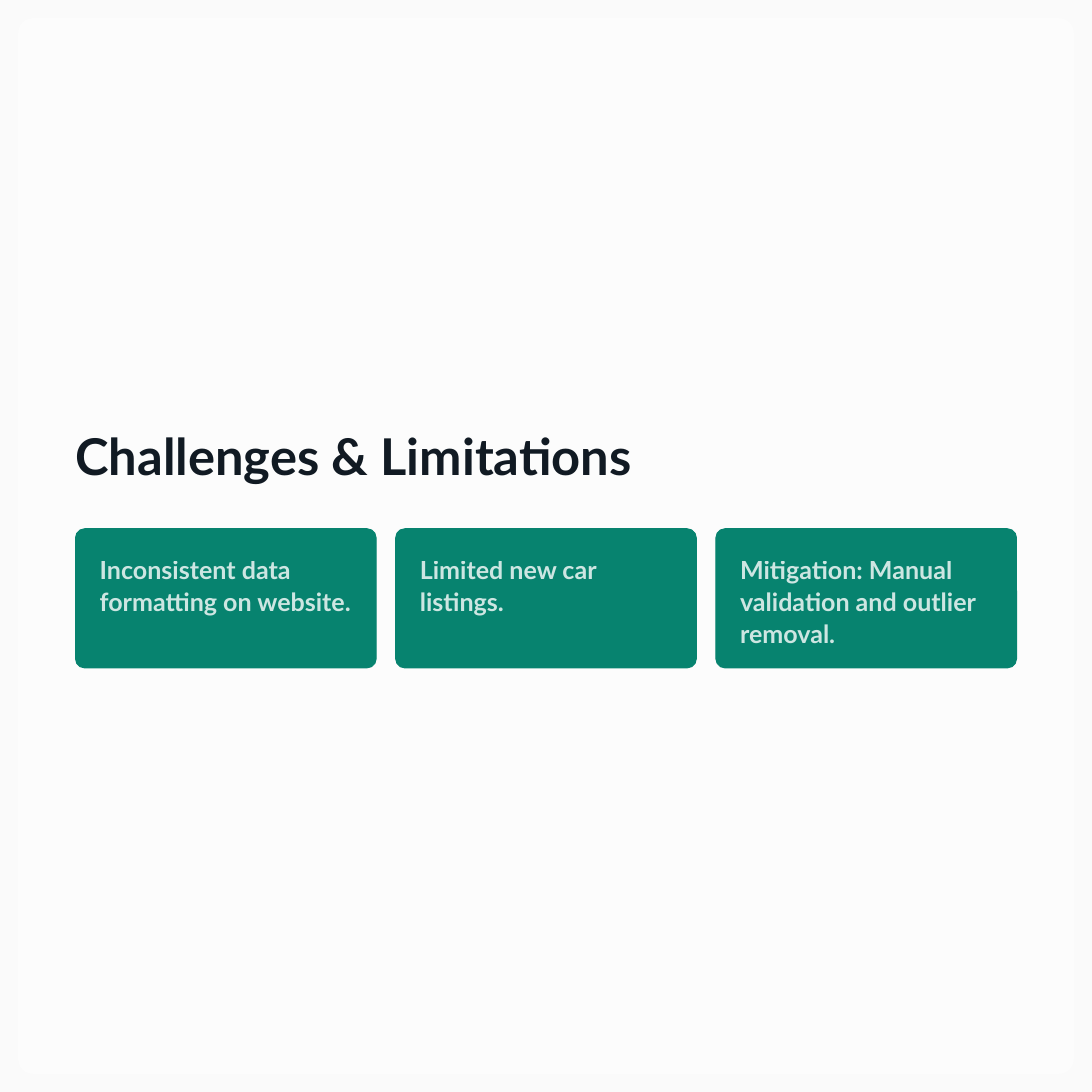
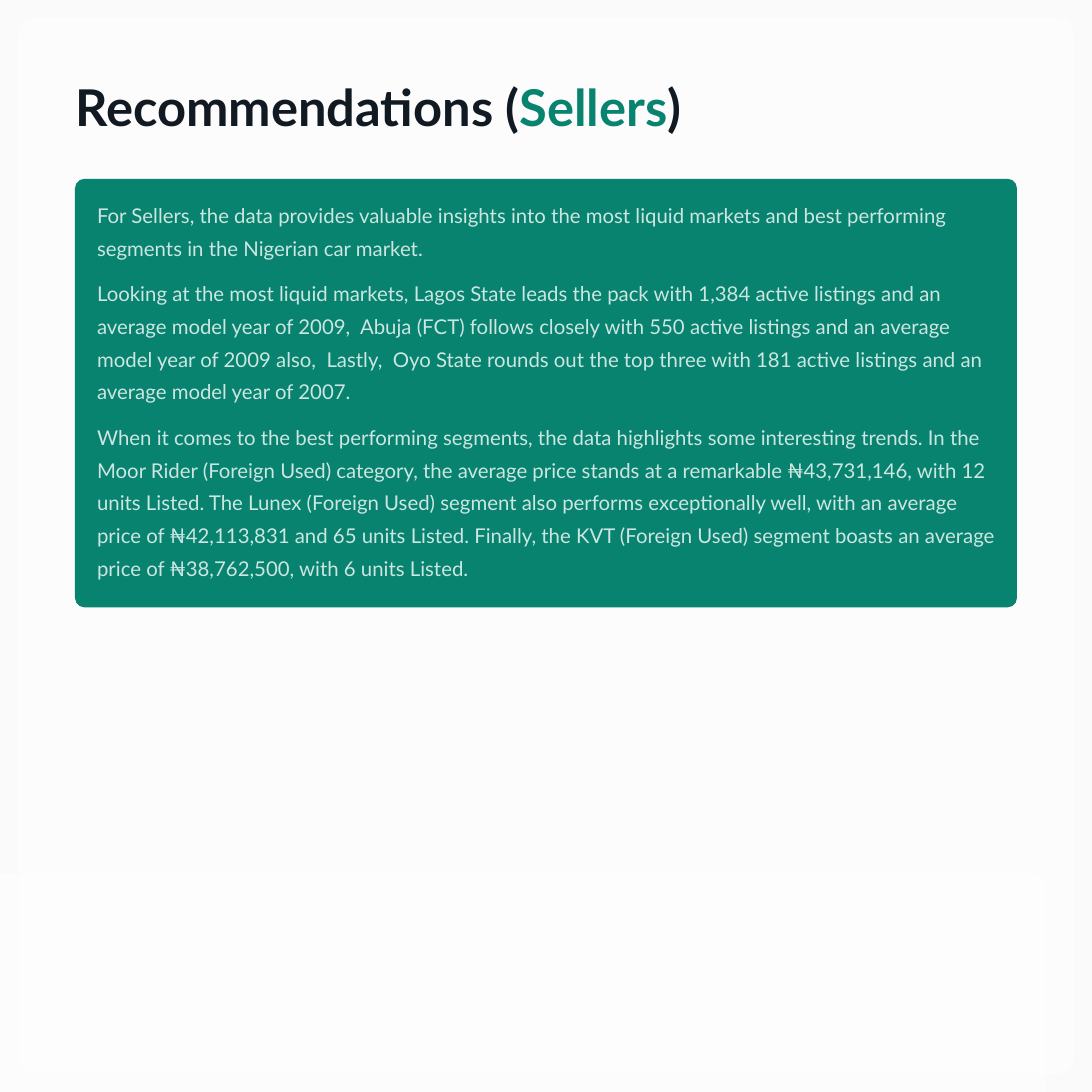
from dataclasses import dataclass

from pptx import Presentation
from pptx.dml.color import RGBColor
from pptx.enum.shapes import MSO_SHAPE as Shape
from pptx.enum.text import MSO_ANCHOR as Anchor, MSO_AUTO_SIZE as AutoSize, PP_ALIGN as Align
from pptx.oxml.ns import qn
from pptx.util import Pt


@dataclass(frozen=True)
class TextStyle:
    size: float
    leading: float
    color: str
    bold: bool = False
    opacity: int = 100
    gap: float = 0


@dataclass(frozen=True)
class Theme:
    font: str = "Lato"
    page: str = "FAFAFA"
    panel: str = "FFFFFF"
    panel_opacity: int = 56
    accent: str = "07836F"
    title: TextStyle = TextStyle(37.6, 47.1, "111A23", bold=True)
    card: TextStyle = TextStyle(18.6, 23.6, "FFFFFF", bold=True, opacity=80)
    body: TextStyle = TextStyle(15.1, 24.2, "FFFFFF", opacity=80, gap=9.7)


THEME = Theme()

# Page grid, in points
PAGE = 810
MARGIN = 56
CONTENT_WIDTH = PAGE - 2 * MARGIN
PANEL_INSET = 13.5
PANEL_RADIUS = 11
CARD_RADIUS = 6.75
CARD_PADDING = 16
CARD_GAP = 14.5

CHALLENGES = [
    "Inconsistent data formatting on website.",
    "Limited new car listings.",
    "Mitigation: Manual validation and outlier removal.",
]
SELLER_ADVICE = [
    "For Sellers, the data provides valuable insights into the most liquid markets "
    "and best performing segments in the Nigerian car market.",
    "Looking at the most liquid markets, Lagos State leads the pack with 1,384 active "
    "listings and an average model year of 2009,  Abuja (FCT) follows closely with 550 "
    "active listings and an average model year of 2009 also,  Lastly,  Oyo State rounds "
    "out the top three with 181 active listings and an average model year of 2007.",
    "When it comes to the best performing segments, the data highlights some interesting "
    "trends. In the Moor Rider (Foreign Used) category, the average price stands at a "
    "remarkable ₦43,731,146, with 12 units Listed. The Lunex (Foreign Used) segment also "
    "performs exceptionally well, with an average price of ₦42,113,831 and 65 units Listed. "
    "Finally, the KVT (Foreign Used) segment boasts an average price of ₦38,762,500, with "
    "6 units Listed.",
]


def set_opacity(fill_parent, percent):
    """Add transparency to the solid fill inside an XML element."""
    if percent < 100:
        color = fill_parent.find(qn("a:solidFill"))[0]
        color.makeelement(qn("a:alpha"))
        alpha = color.makeelement(qn("a:alpha"), {"val": str(percent * 1000)})
        color.append(alpha)


def place(shape, left, top, width, height):
    shape.left, shape.top = Pt(left), Pt(top)
    shape.width, shape.height = Pt(width), Pt(height)


def write(frame, paragraphs, style, padding=0):
    """Fill a text frame; each paragraph is a list of (text, color) runs."""
    frame.word_wrap = True
    frame.auto_size = AutoSize.NONE
    frame.vertical_anchor = Anchor.TOP
    frame.margin_left = frame.margin_right = Pt(padding)
    frame.margin_top = frame.margin_bottom = Pt(padding)
    for index, runs in enumerate(paragraphs):
        paragraph = frame.add_paragraph() if index else frame.paragraphs[0]
        paragraph.alignment = Align.LEFT
        paragraph.line_spacing = Pt(style.leading)
        paragraph.space_before = Pt(style.gap if index else 0)
        for text, color in runs:
            run = paragraph.add_run()
            run.text = text
            font = run.font
            font.name, font.size, font.bold = THEME.font, Pt(style.size), style.bold
            font.color.rgb = RGBColor.from_string(color or style.color)
            set_opacity(run.font._element, style.opacity)


def remove_bullets(frame):
    for paragraph in frame.paragraphs:
        properties = paragraph._p.get_or_add_pPr()
        properties.set("marL", "0")
        properties.set("indent", "0")
        properties.append(properties.makeelement(qn("a:buNone")))


def add_block(slide, box, radius, color, opacity=100, kind=Shape.ROUNDED_RECTANGLE):
    block = slide.shapes.add_shape(kind, *(Pt(length) for length in box))
    block.adjustments[0] = radius / min(box[2:])
    block.shadow.inherit = False
    block.fill.solid()
    block.fill.fore_color.rgb = RGBColor.from_string(color)
    set_opacity(block.element.spPr, opacity)
    block.line.fill.background()
    return block


def add_card(slide, left, top, width, height):
    card = add_block(slide, (left, top, width, height), CARD_RADIUS, THEME.accent)
    card.line.color.rgb = RGBColor.from_string(THEME.accent)
    card.line.width = Pt(0.75)
    return card


def add_page(prs, layout_name, title_runs, title_top):
    """Start a slide with the shared white panel and title."""
    slide = prs.slides.add_slide(prs.slide_layouts.get_by_name(layout_name))
    side = PAGE - 2 * PANEL_INSET
    panel = add_block(slide, (PANEL_INSET, PANEL_INSET, side, side),
                      PANEL_RADIUS, THEME.panel, THEME.panel_opacity)
    title = slide.shapes.title
    title.element.addprevious(panel.element)
    place(title, MARGIN, title_top, CONTENT_WIDTH, 48)
    write(title.text_frame, [title_runs], THEME.title)
    return slide


def add_challenges(prs):
    slide = add_page(prs, "Title Only", [("Challenges & Limitations", None)], 313.2)
    # Three equal cards
    count = len(CHALLENGES)
    width = (CONTENT_WIDTH - CARD_GAP * (count - 1)) / count
    for column, challenge in enumerate(CHALLENGES):
        card = add_card(slide, MARGIN + column * (width + CARD_GAP), 392.2, width, 103.2)
        write(card.text_frame, [[(challenge, None)]], THEME.card, CARD_PADDING)


def add_seller_advice(prs):
    title_runs = [("Recommendations (", None), ("Sellers", THEME.accent), (")", None)]
    slide = add_page(prs, "Title and Content", title_runs, 54)
    # Advice on one wide card
    top, height = 133, 317.2
    card = add_card(slide, MARGIN, top, CONTENT_WIDTH, height)
    advice = slide.placeholders[1]
    advice.element.addprevious(card.element)
    place(advice, MARGIN + CARD_PADDING, top + 11.7,
          CONTENT_WIDTH - 2 * CARD_PADDING, height - 2 * 11.7)
    write(advice.text_frame, [[(text, None)] for text in SELLER_ADVICE], THEME.body)
    remove_bullets(advice.text_frame)
    # Second translucent panel along the foot
    add_block(slide, (0, 648, 775.5, PAGE - 648), PANEL_RADIUS, THEME.panel,
              THEME.panel_opacity, Shape.ROUND_1_RECTANGLE)


def main():
    prs = Presentation()
    prs.slide_width = prs.slide_height = Pt(PAGE)
    page_fill = prs.slide_master.background.fill
    page_fill.solid()
    page_fill.fore_color.rgb = RGBColor.from_string(THEME.page)
    add_challenges(prs)
    add_seller_advice(prs)
    prs.save("out.pptx")


if __name__ == "__main__":
    main()
